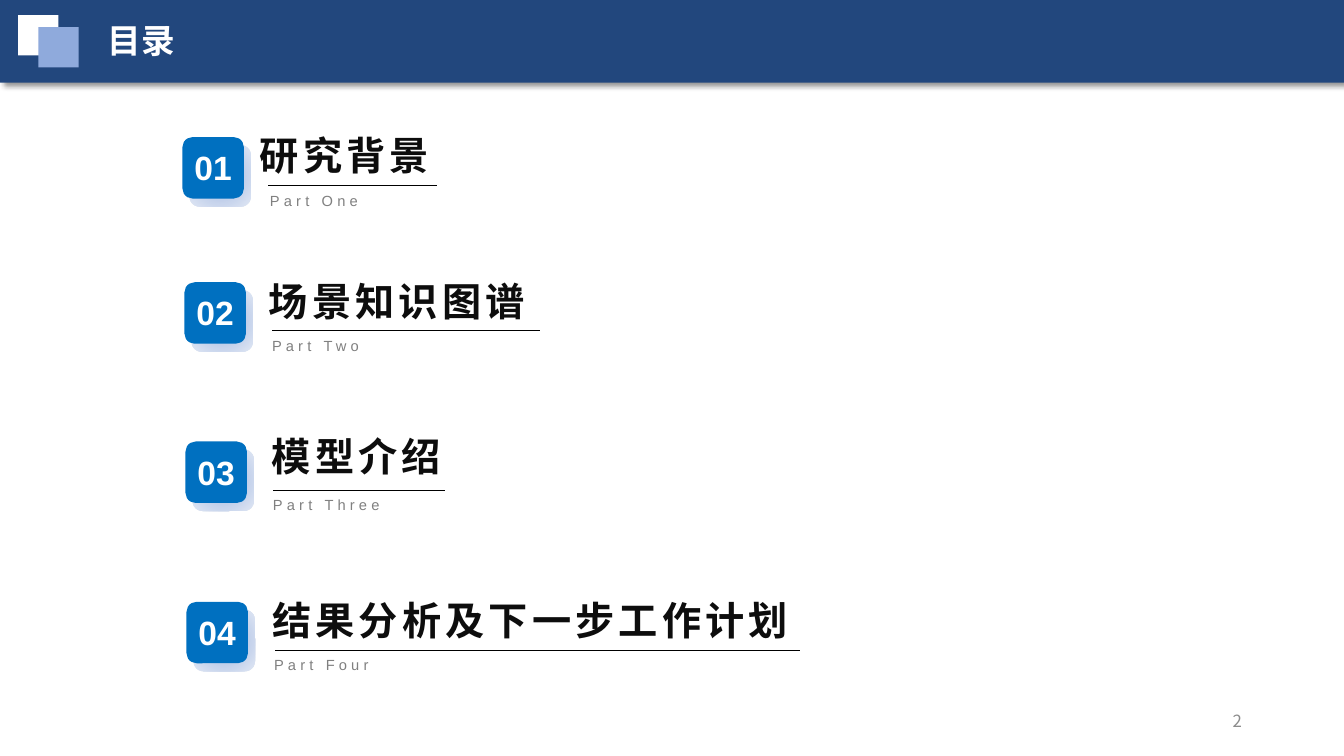
from dataclasses import dataclass

import pptx
import pptx.dml.color
import pptx.enum.shapes
import pptx.enum.text
import pptx.util
from lxml import etree
from pptx.oxml.ns import qn

# Grid: ten columns and ten rows to the inch
CELL = pptx.util.Inches(0.1)
COLS, ROWS = 133.33, 75
CJK = "Noto Sans CJK SC"
SHAPE = pptx.enum.shapes.MSO_SHAPE
ALIGN = pptx.enum.text.PP_ALIGN
BADGE = 6.1


@dataclass
class Box:
    col: float
    row: float
    cols: float
    rows: float

    def emu(self) -> list[int]:
        return [grid(v) for v in (self.col, self.row, self.cols, self.rows)]


@dataclass
class Chapter:
    title: str
    subtitle: str
    col: float  # badge position
    row: float
    title_box: Box
    rule_start: float
    rule_end: float


CHAPTERS = [
    Chapter("研究背景", "Part One", 18.1, 13.6, Box(24.8, 12.5, 68, 5.7), 26.6, 43.4),
    Chapter("场景知识图谱", "Part Two", 18.3, 28, Box(25.7, 27, 51.6, 5.7), 27, 53.6),
    Chapter("模型介绍", "Part Three", 18.4, 43.8, Box(26, 42.4, 49.4, 5.7), 27.1, 44.1),
    Chapter("结果分析及下一步工作计划", "Part Four", 18.5, 59.7,
            Box(26, 58.7, 60.8, 5.7), 27.3, 79.4),
]


def grid(cells: float) -> int:
    return round(cells * CELL)


def rgb(color: str) -> pptx.dml.color.RGBColor:
    return pptx.dml.color.RGBColor.from_string(color)


def child(parent, tag: str, **attrs):
    return etree.SubElement(parent, qn(tag), {k: str(v) for k, v in attrs.items()})


def add_block(shapes, box: Box, color: str, kind=SHAPE.RECTANGLE):
    s = shapes.add_shape(kind, *box.emu())
    s.shadow.inherit = False
    s.fill.solid()
    s.fill.fore_color.rgb = rgb(color)
    s.line.fill.background()
    if kind == SHAPE.ROUNDED_RECTANGLE:
        s.adjustments[0] = 0.164
    return s


def add_text(shapes, box: Box, text: str, *, size: float, color: str, fade: str = "",
             font: str = "Arial", bold: bool = False, spacing: float = 0,
             wrap: bool = True, align=ALIGN.LEFT, middle: bool = False) -> None:
    tf = shapes.add_textbox(*box.emu()).text_frame
    tf.word_wrap = wrap
    if middle:
        tf.vertical_anchor = pptx.enum.text.MSO_ANCHOR.MIDDLE
    p = tf.paragraphs[0]
    p.alignment = align
    r = p.add_run()
    r.text = text
    r.font.size = pptx.util.Pt(size)
    r.font.bold = bold
    if fade:
        r.font.fill.gradient()
        r.font.fill.gradient_angle = 270
        for stop, stop_color in zip(r.font.fill.gradient_stops, (color, fade)):
            stop.color.rgb = rgb(stop_color)
    else:
        r.font.color.rgb = rgb(color)
    r.font.name = font
    rpr = r._r.get_or_add_rPr()
    child(rpr, "a:ea", typeface=CJK)
    if spacing:
        rpr.set("spc", str(round(spacing * 100)))


def add_rule(shapes, start: float, end: float, row: float) -> None:
    s = shapes.add_connector(pptx.enum.shapes.MSO_CONNECTOR.STRAIGHT,
                             grid(start), grid(row), grid(end), grid(row))
    s.line.color.rgb = rgb("000000")
    s.line.width = pptx.util.Pt(0.25)
    child(s._element.spPr, "a:effectLst")


def set_radial_fill(s) -> None:
    sp = s._element.spPr
    solid = sp.find(qn("a:solidFill"))
    grad = etree.Element(qn("a:gradFill"), rotWithShape="1")
    stops = child(grad, "a:gsLst")
    for share, color in ((0, "94B1E1"), (50, "BFCEEA"), (100, "E0E7F4")):
        child(child(stops, "a:gs", pos=share * 1000), "a:srgbClr", val=color)
    center = child(grad, "a:path")
    center.set("path", "circle")
    child(center, "a:fillToRect", l=50000, t=50000, r=50000, b=50000)
    sp.replace(solid, grad)


def set_drop_shadow(s) -> None:
    effects = s._element.spPr.find(qn("a:effectLst"))
    shadow = child(effects, "a:outerShdw", blurRad=pptx.util.Pt(4), dist=pptx.util.Pt(3),
                   dir=45 * 60000, algn="tl", rotWithShape=0)
    child(child(shadow, "a:srgbClr", val="000000"), "a:alpha", val=40000)


def add_chapter(slide, number: int, ch: Chapter) -> None:
    shapes = slide.shapes.add_group_shape().shapes
    add_text(shapes, Box(ch.col + 7.7, ch.row + 4.9, 30.8, 2.8), ch.subtitle,
             size=10.5, color="808080", spacing=3)
    add_rule(shapes, ch.rule_start, ch.rule_end, ch.row + 4.8)
    back = add_block(shapes, Box(ch.col + 0.7, ch.row + 0.8, BADGE, BADGE), "BFCEEA",
                     SHAPE.ROUNDED_RECTANGLE)
    set_radial_fill(back)
    add_block(shapes, Box(ch.col, ch.row, BADGE, BADGE), "0070C0", SHAPE.ROUNDED_RECTANGLE)
    add_text(shapes, Box(ch.col + 0.2, ch.row + 0.5, 5.8, 5), f"{number:02}",
             size=24, color="FFFFFF", bold=True, wrap=False)
    add_text(shapes, ch.title_box, ch.title, size=28, color="0D0D0D", fade="595959",
             bold=True, spacing=3)


def main() -> None:
    prs = pptx.Presentation()
    prs.slide_width, prs.slide_height = grid(COLS), grid(ROWS)
    slide = prs.slides.add_slide(prs.slide_layouts[6])

    # Header band with two overlapping squares
    set_drop_shadow(add_block(slide.shapes, Box(0, 0, COLS, 8.2), "22477D"))
    add_block(slide.shapes, Box(1.8, 1.5, 4, 4), "FFFFFF")
    add_block(slide.shapes, Box(3.8, 2.7, 4, 4), "8FAADC")
    add_text(slide.shapes, Box(9.7, 1.5, 43.9, 5), "目录", size=24, color="FFFFFF",
             font=CJK, bold=True)

    # Page number
    add_text(slide.shapes, Box(94.2, 69.5, 30, 4), "2", size=12, color="8C8C8C",
             font=CJK, align=ALIGN.RIGHT, middle=True)

    # Chapters
    for number, ch in enumerate(CHAPTERS, 1):
        add_chapter(slide, number, ch)

    prs.save("out.pptx")


if __name__ == "__main__":
    main()
